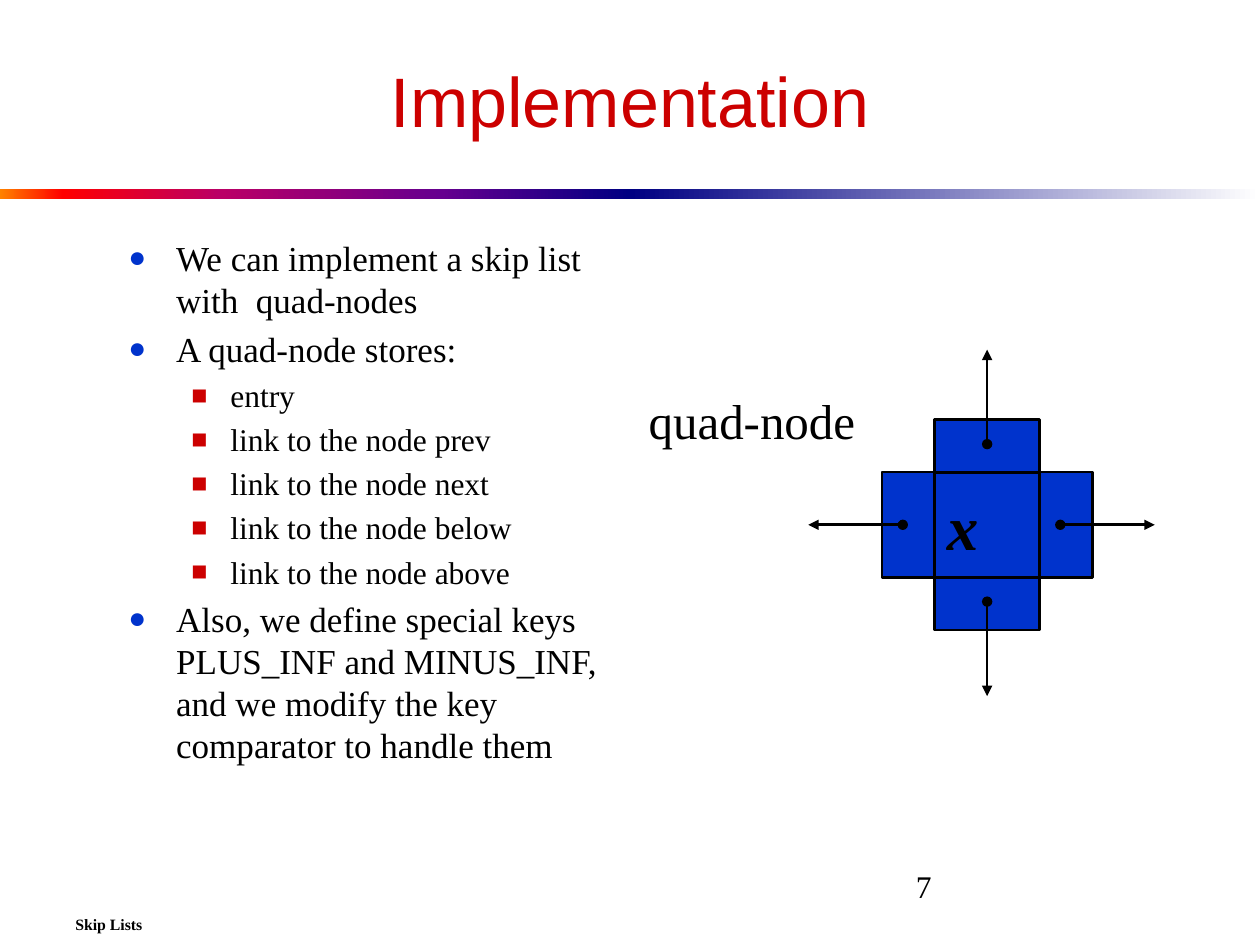
from dataclasses import dataclass

from lxml import etree
from pptx import Presentation
from pptx import util as u
from pptx.dml.color import RGBColor
from pptx.enum import shapes, text
from pptx.oxml import parse_xml
from pptx.oxml.ns import nsdecls, qn


@dataclass(frozen=True)
class Theme:
    black: str = "000000"
    red: str = "CC0000"
    blue: str = "0033CC"
    heading_font: str = "Arial"
    body_font: str = "Times New Roman"
    title: int = 40
    node: int = 36
    label: int = 28
    body: int = 20
    detail: int = 18
    footer: int = 9
    line: float = 1.5


THEME = Theme()
WIDTH, HEIGHT = 10, 7.5
RULE_STOPS = (
    [(0, "FF8200"), (10, "FF0000"), (35, "BA0066"), (70, "66008F"), (100, "000082")],
    [(0, "000082"), (100, "FFFFFF")],
)
# Each level: bullet character, bullet colour, text size, left margin, hanging indent
LEVELS = (
    ("●", THEME.blue, THEME.body, 0.38, 0.38),
    ("■", THEME.red, THEME.detail, 0.81, 0.31),
)
BODY = (
    (0, "We can implement a skip list with  quad-nodes"),
    (0, "A quad-node stores:"),
    (1, "entry"),
    (1, "link to the node prev"),
    (1, "link to the node next"),
    (1, "link to the node below"),
    (1, "link to the node above"),
    (0, "Also, we define special keys PLUS_INF and MINUS_INF, "
        "and we modify the key comparator to handle them"),
)


def inches(*lengths):
    return [u.Inches(length) for length in lengths]


def style_paragraph(paragraph, size, color=THEME.black, font=THEME.body_font,
                    bold=False, italic=False, align=text.PP_ALIGN.LEFT):
    paragraph.alignment = align
    for run in paragraph.runs:
        run.font.name, run.font.size = font, u.Pt(size)
        run.font.bold, run.font.italic = bold, italic
        run.font.color.rgb = RGBColor.from_string(color)


def add_text(slide, box, words, size, anchor=text.MSO_ANCHOR.TOP, **style):
    frame = slide.shapes.add_textbox(*inches(*box)).text_frame
    frame.word_wrap, frame.vertical_anchor = True, anchor
    frame.text = words
    style_paragraph(frame.paragraphs[0], size, **style)


def add_node_shape(slide, kind, box):
    shape = slide.shapes.add_shape(kind, *inches(*box))
    shape.shadow.inherit = False
    shape.fill.solid()
    shape.fill.fore_color.rgb = RGBColor.from_string(THEME.blue)
    shape.line.color.rgb = RGBColor.from_string(THEME.black)
    shape.line.width = u.Pt(THEME.line)
    return shape


def add_link(slide, start, end):
    link = slide.shapes.add_connector(shapes.MSO_CONNECTOR.STRAIGHT, *inches(*start, *end))
    link.line.color.rgb = RGBColor.from_string(THEME.black)
    link.line.width = u.Pt(THEME.line)
    outline = link.line._get_or_add_ln()
    etree.SubElement(outline, qn("a:headEnd"), type="oval")
    etree.SubElement(outline, qn("a:tailEnd"), type="triangle")
    etree.SubElement(link._element.spPr, qn("a:effectLst"))


def draw_rule(slide, box):
    """Two gradient halves, side by side."""
    left, top, width, height = box
    half = width / len(RULE_STOPS)
    for index, stops in enumerate(RULE_STOPS):
        shape = slide.shapes.add_shape(
            shapes.MSO_SHAPE.RECTANGLE, *inches(left + index * half, top, half, height))
        shape.shadow.inherit = False
        shape.line.fill.background()
        marks = "".join(f'<a:gs pos="{share * 1000}"><a:srgbClr val="{color}"/></a:gs>'
                        for share, color in stops)
        gradient = parse_xml(f'<a:gradFill {nsdecls("a")}><a:gsLst>{marks}</a:gsLst>'
                             '<a:lin ang="0" scaled="0"/></a:gradFill>')
        shape._element.spPr.find(qn("a:prstGeom")).addnext(gradient)


def draw_body(slide, box):
    """Bulleted list on two levels."""
    frame = slide.shapes.add_textbox(*inches(*box)).text_frame
    frame.word_wrap = True
    frame.text = "\n".join(words for _, words in BODY)
    for paragraph, (level, _) in zip(frame.paragraphs, BODY):
        bullet, color, size, margin, hanging = LEVELS[level]
        paragraph.level = level
        style_paragraph(paragraph, size)
        properties = paragraph._p.get_or_add_pPr()
        properties.set("marL", str(u.Inches(margin)))
        properties.set("indent", str(-u.Inches(hanging)))
        for part in ('<a:spcBef {}><a:spcPct val="20000"/></a:spcBef>',
                     f'<a:buClr {{}}><a:srgbClr val="{color}"/></a:buClr>',
                     '<a:buSzPct {} val="85000"/>',
                     f'<a:buFont {{}} typeface="{THEME.body_font}"/>',
                     f'<a:buChar {{}} char="{bullet}"/>'):
            properties.append(parse_xml(part.format(nsdecls("a"))))


def draw_quad_node(slide, box):
    """Cross with a core square and four links pointing outwards."""
    left, top, side, _ = box
    plus = add_node_shape(slide, shapes.MSO_SHAPE.CROSS, box)
    plus.adjustments[0] = 0.25
    core = add_node_shape(slide, shapes.MSO_SHAPE.RECTANGLE,
                          (left + side / 4, top + side / 4, side / 2, side / 2))
    frame = core.text_frame
    frame.word_wrap, frame.vertical_anchor = True, text.MSO_ANCHOR.MIDDLE
    frame.text = "x"
    style_paragraph(frame.paragraphs[0], THEME.node, bold=True, italic=True)

    # Direction of each link and its start, measured from the centre
    center_x, center_y, length = left + side / 2, top + side / 2, 0.75
    for step_x, step_y, start in ((1, 0, 0.58), (-1, 0, 0.67), (0, -1, 0.64), (0, 1, 0.61)):
        add_link(slide, *((center_x + step_x * reach, center_y + step_y * reach)
                          for reach in (start, start + length)))


def draw_footer(slide, box):
    """Deck name at the lower left, page number at the right."""
    left, top, width, height = box
    add_text(slide, (left, top + height - 0.33, width, 0.33), "Skip Lists", THEME.footer,
             anchor=text.MSO_ANCHOR.MIDDLE, bold=True)
    add_text(slide, (left + 6.67, top, 2.08, 0.5), "7", THEME.detail)


def build_slide(presentation):
    slide = presentation.slides.add_slide(presentation.slide_layouts[6])
    draw_rule(slide, (0, HEIGHT * 0.2, WIDTH, 0.08))
    draw_footer(slide, (0.5, 6.83, 9, 0.67))
    add_text(slide, (0.5, 0.25, 9, 1.08), "Implementation", THEME.title,
             anchor=text.MSO_ANCHOR.MIDDLE, color=THEME.red, font=THEME.heading_font,
             align=text.PP_ALIGN.CENTER)
    draw_body(slide, (0.92, 1.83, 4.17, 4.75))
    draw_quad_node(slide, (7, 3.33, 1.67, 1.67))
    add_text(slide, (5.05, 3.05, 2.04, 0.57), "quad-node", THEME.label)


presentation = Presentation()
presentation.slide_width, presentation.slide_height = inches(WIDTH, HEIGHT)
build_slide(presentation)
presentation.save("out.pptx")
